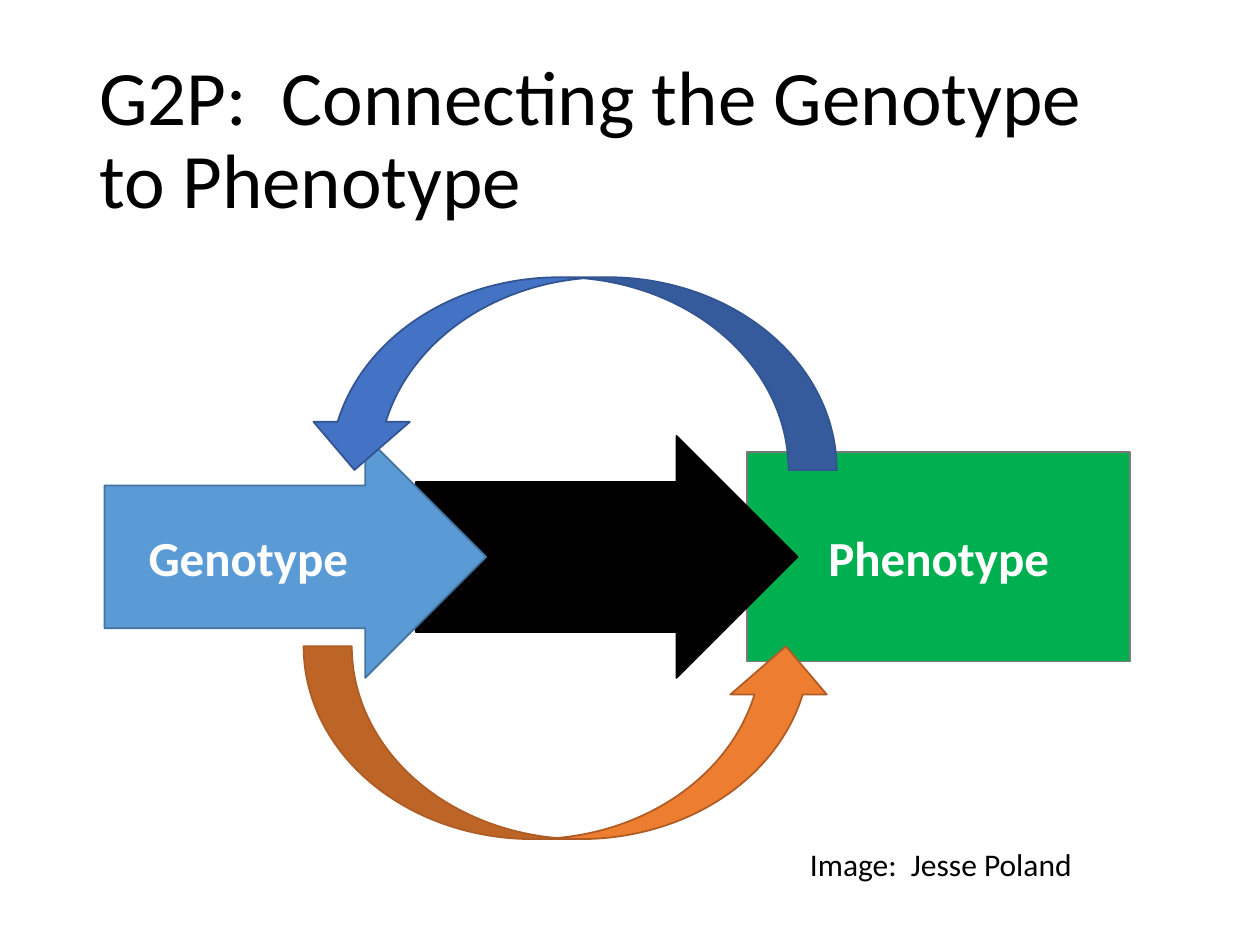
import dataclasses

import pptx
import pptx.dml.color
import pptx.enum.shapes
import pptx.enum.text
import pptx.util

Inches = pptx.util.Inches
Pt = pptx.util.Pt
MSO_SHAPE = pptx.enum.shapes.MSO_SHAPE
PP_ALIGN = pptx.enum.text.PP_ALIGN
MSO_ANCHOR = pptx.enum.text.MSO_ANCHOR


@dataclasses.dataclass(frozen=True)
class Theme:
    font: str = "Calibri"
    title_size: int = 44
    label_size: int = 28
    credit_size: int = 18
    line_width: int = 1
    text: str = "000000"
    label: str = "FFFFFF"
    # Each shape style is a fill and an outline.
    phenotype: tuple = ("00B050", "7A7A7A")
    link: tuple = ("000000", "000000")
    genotype: tuple = ("5B9BD5", "43739E")
    feedback: tuple = ("4472C4", "325491")
    forward: tuple = ("ED7D31", "AF5C24")


def rgb(value):
    return pptx.dml.color.RGBColor.from_string(value)


def write_text(tf, text, *, font, size, color, bold=False, align=PP_ALIGN.LEFT,
               anchor=MSO_ANCHOR.TOP, line_spacing=None):
    tf.word_wrap = True
    tf.vertical_anchor = anchor
    p = tf.paragraphs[0]
    p.alignment = align
    if line_spacing:
        p.line_spacing = line_spacing
    r = p.add_run()
    r.text = text
    r.font.name = font
    r.font.size = Pt(size)
    r.font.bold = bold
    r.font.color.rgb = rgb(color)


class SlideBuilder:
    def __init__(self, slide, theme):
        self.slide = slide
        self.theme = theme
        self.diagram = slide.shapes.add_group_shape()

    def text_box(self, box, text, size, **text_format):
        s = self.slide.shapes.add_textbox(*map(Inches, box))
        write_text(s.text_frame, text, font=self.theme.font, size=size,
                   color=self.theme.text, **text_format)
        return s

    def diagram_shape(self, kind, box, style, label=None, adjustments=(), rotation=0):
        fill, line = style
        s = self.diagram.shapes.add_shape(kind, *map(Inches, box))
        s.shadow.inherit = False
        s.rotation = rotation
        s.fill.solid()
        s.fill.fore_color.rgb = rgb(fill)
        s.line.color.rgb = rgb(line)
        s.line.width = Pt(self.theme.line_width)
        for i, value in enumerate(adjustments):
            s.adjustments[i] = value
        if label:
            write_text(s.text_frame, label, font=self.theme.font,
                       size=self.theme.label_size, color=self.theme.label,
                       bold=True, align=PP_ALIGN.CENTER, anchor=MSO_ANCHOR.MIDDLE)
        return s


def main():
    prs = pptx.Presentation()
    prs.slide_width, prs.slide_height = Inches(10), Inches(7.5)
    theme = Theme()
    builder = SlideBuilder(prs.slides.add_slide(prs.slide_layouts[6]), theme)

    builder.text_box((0.69, 0.4, 8.62, 1.45),
                     "G2P:  Connecting the Genotype to Phenotype",
                     theme.title_size, anchor=MSO_ANCHOR.MIDDLE, line_spacing=0.9)

    arrow_top, arrow_size = 3.46, (3.03, 1.92)
    curve_size = (4.21, 1.53)
    builder.diagram_shape(MSO_SHAPE.RECTANGLE, (5.93, 3.59, 3.04, 1.66),
                          theme.phenotype, "Phenotype")
    builder.diagram_shape(MSO_SHAPE.RIGHT_ARROW, (3.3, arrow_top, *arrow_size),
                          theme.link, adjustments=(0.62, 0.5))
    genotype = builder.diagram_shape(
        MSO_SHAPE.RIGHT_ARROW, (0.83, arrow_top, *arrow_size),
        theme.genotype, "Genotype", adjustments=(0.59, 0.5))
    genotype.text_frame.margin_right = Inches(0.28)
    builder.diagram_shape(MSO_SHAPE.CURVED_UP_ARROW, (2.43, 2.2, *curve_size),
                          theme.feedback, rotation=180)
    builder.diagram_shape(MSO_SHAPE.CURVED_UP_ARROW, (2.41, 5.13, *curve_size),
                          theme.forward)

    builder.text_box((6.33, 6.66, 2.78, 0.4), "Image:  Jesse Poland",
                     theme.credit_size)
    prs.save("out.pptx")


if __name__ == "__main__":
    main()
